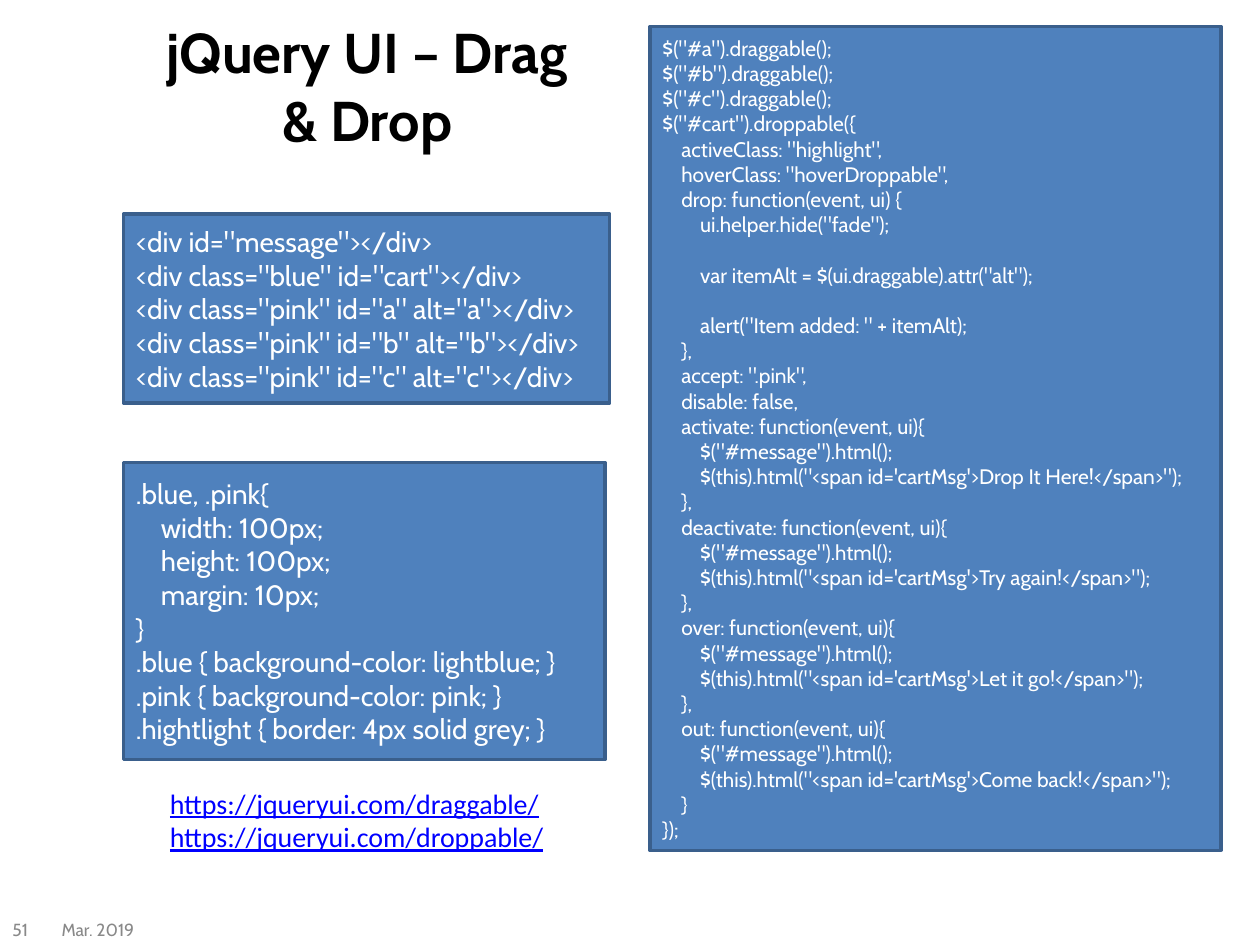
import pptx
import pptx.dml.color
import pptx.enum.shapes
import pptx.enum.text
import pptx.oxml.ns
import pptx.util
from lxml import etree


class Theme:
    fill, edge = "4F81BD", "3A5F8C"
    white, black, grey, link = "FFFFFF", "000000", "898989", "0000FF"
    main, plain = "Cabin", "Calibri"
    head, body, code, foot = 32, 16, 12, 10
    border = 2


Anchor = pptx.enum.text.MSO_ANCHOR
Align = pptx.enum.text.PP_ALIGN

deck = pptx.Presentation()
deck.slide_width = pptx.util.Inches(10)
deck.slide_height = pptx.util.Inches(7.5)
slide = deck.slides.add_slide(deck.slide_layouts[6])
col = deck.slide_width / 100
row = deck.slide_height / 75


def place(left, top, width, height):
    """Turn columns and rows of the 100 by 75 grid into lengths."""
    return [round(n * unit) for n, unit in
            ((left, col), (top, row), (width, col), (height, row))]


def write(shape, text, size, color, font=Theme.main, bold=False, under=False,
          align=Align.LEFT, anchor=Anchor.MIDDLE, wrap=True):
    """Fill a shape with text, one paragraph to a line."""
    frame = shape.text_frame
    frame.word_wrap = wrap
    frame.vertical_anchor = anchor
    for i, line in enumerate(text.split("\n")):
        para = frame.add_paragraph() if i else frame.paragraphs[0]
        para.alignment = align
        if not line:
            etree.SubElement(para._p, pptx.oxml.ns.qn("a:endParaRPr"),
                             sz=str(size * 100))
            continue
        run = para.add_run()
        run.text = line
        run.font.name = font
        run.font.size = pptx.util.Pt(size)
        run.font.bold = bold
        run.font.underline = under
        run.font.color.rgb = pptx.dml.color.RGBColor.from_string(color)


# Title, footer and web links
title = slide.shapes.add_textbox(*place(12.2, 0.5, 33.9, 12.5))
write(title, "jQuery UI – Drag & Drop", size=Theme.head, color=Theme.black,
      bold=True, align=Align.CENTER)

for left, width, text in ((3.9, 9.4, "Mar. 2019"), (0, 4.7, "51")):
    foot = slide.shapes.add_textbox(*place(left, 72.2, width, 3.1))
    write(foot, text, size=Theme.foot, color=Theme.grey)

links = slide.shapes.add_textbox(*place(12.5, 61.9, 32, 6.4))
write(links, "https://jqueryui.com/draggable/\nhttps://jqueryui.com/droppable/",
      size=Theme.body, color=Theme.link, font=Theme.plain, under=True,
      anchor=Anchor.TOP, wrap=False)

# Code listings
parts = "abc"
html = "\n".join(
    ['<div id="message"></div>', '<div class="blue" id="cart"></div>']
    + [f'<div class="pink" id="{p}" alt="{p}"></div>' for p in parts])

css = """.blue, .pink{
    width: 100px;
    height: 100px;
    margin: 10px;
}
.blue { background-color: lightblue; }
.pink { background-color: pink; }
.hightlight { border: 4px solid grey; }"""

drags = "\n".join(f'$("#{p}").draggable();' for p in parts)
drop = """
$("#cart").droppable({
    activeClass: "highlight",
    hoverClass: "hoverDroppable",
    drop: function(event, ui) {
        ui.helper.hide("fade");

        var itemAlt = $(ui.draggable).attr("alt");

        alert("Item added: " + itemAlt);
    },
    accept: ".pink",
    disable: false,
"""
events = ",\n".join(
    f"""    {name}: function(event, ui){{
        $("#message").html();
        $(this).html("<span id='cartMsg'>{note}</span>");
    }}"""
    for name, note in (("activate", "Drop It Here!"),
                       ("deactivate", "Try again!"),
                       ("over", "Let it go!"),
                       ("out", "Come back!")))
script = drags + drop + events + "\n});"

for text, size, spot in (
        (css, Theme.body, (9.8, 36.7, 38.2, 23.6)),
        (script, Theme.code, (51.6, 2.1, 45.3, 65.4)),
        (html, Theme.body, (9.8, 17, 38.6, 15))):
    panel = slide.shapes.add_shape(
        pptx.enum.shapes.MSO_SHAPE.RECTANGLE, *place(*spot))
    panel.shadow.inherit = False
    panel.fill.solid()
    panel.fill.fore_color.rgb = pptx.dml.color.RGBColor.from_string(Theme.fill)
    panel.line.color.rgb = pptx.dml.color.RGBColor.from_string(Theme.edge)
    panel.line.width = pptx.util.Pt(Theme.border)
    write(panel, text, size=size, color=Theme.white)

deck.save("out.pptx")
